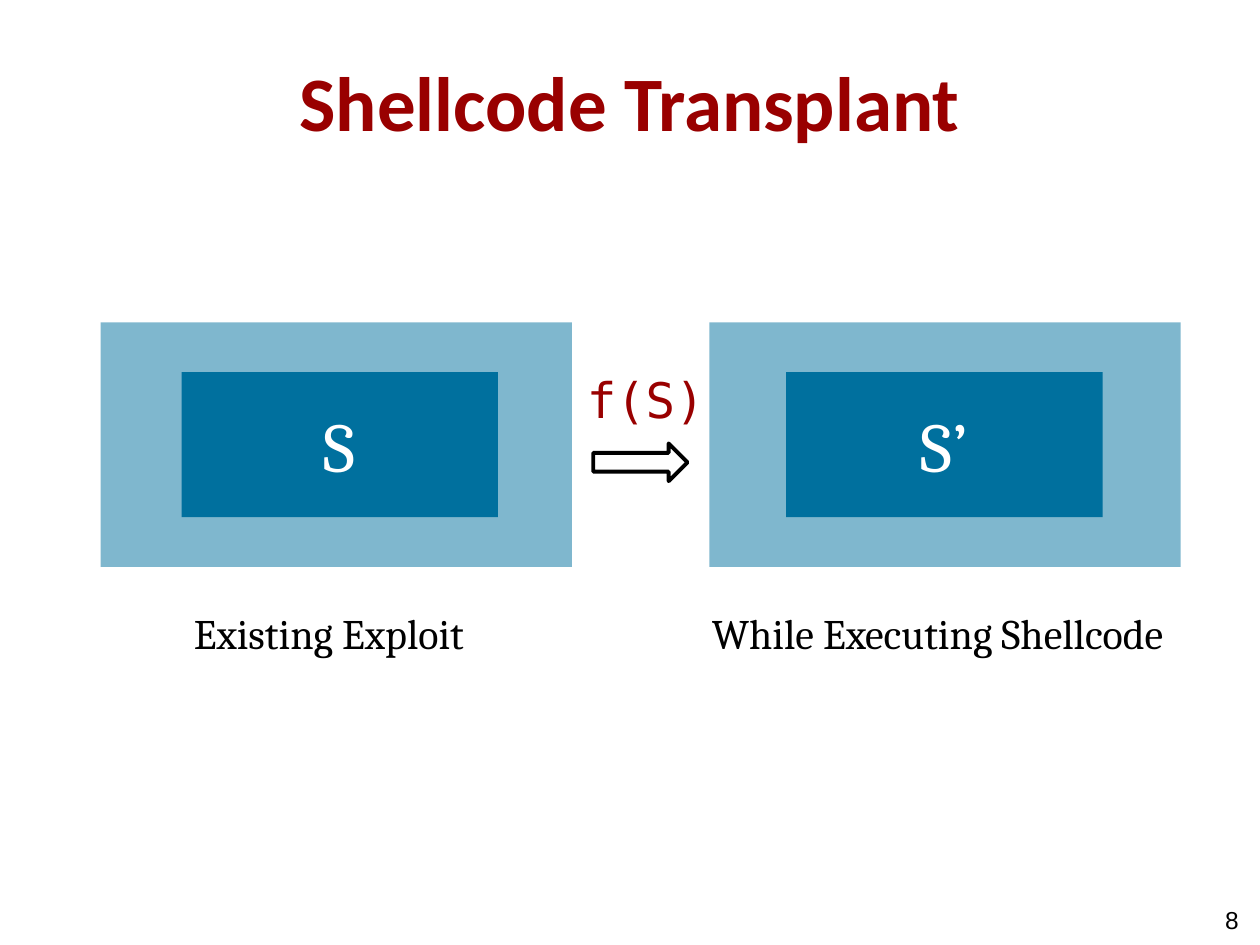
from lxml.etree import SubElement
from pptx import Presentation
from pptx.dml.color import RGBColor
from pptx.enum.shapes import MSO_SHAPE
from pptx.enum.text import MSO_ANCHOR, PP_ALIGN
from pptx.oxml.ns import qn
from pptx.util import Cm, Pt

BLUE, RED, BLACK, WHITE = "00709E", "990000", "000000", "FFFFFF"
TITLE = "Shellcode Transplant"
PANELS = [
    {"left": 2.03, "core_left": 3.66, "core": "S",
     "caption": "Existing Exploit", "caption_box": (3.66, 12.12, 6.22, 1.27)},
    {"left": 14.3, "core_left": 15.85, "core": "S’",
     "caption": "While Executing Shellcode", "caption_box": (14.1, 12.12, 10.13, 1.27)},
]
PANEL_TOP, PANEL_WIDTH, PANEL_HEIGHT = 6.5, 9.5, 4.93
CORE_WIDTH, CORE_HEIGHT = 6.38, 2.92
CORE_TOP = PANEL_TOP + (PANEL_HEIGHT - CORE_HEIGHT) / 2


def color(value):
    return RGBColor.from_string(value)


def write(shape, text, size, font="Cambria", fill=BLACK, bold=False,
          align=PP_ALIGN.LEFT, anchor=MSO_ANCHOR.TOP, wrap=True, margin=None):
    frame = shape.text_frame
    frame.word_wrap = wrap
    frame.vertical_anchor = anchor
    if margin is not None:
        frame.margin_left = frame.margin_right = Cm(margin)
        frame.margin_top = frame.margin_bottom = Cm(margin)
    paragraph = frame.paragraphs[0]
    paragraph.alignment = align
    run = paragraph.add_run()
    run.text = text
    run.font.name = font
    run.font.size = Pt(size)
    run.font.bold = bold
    run.font.color.rgb = color(fill)


def add_box(slide, box):
    return slide.shapes.add_textbox(*map(Cm, box))


def add_block(slide, kind, box, fill=None, opacity=None, line=None):
    shape = slide.shapes.add_shape(kind, *map(Cm, box))
    shape.shadow.inherit = False
    if fill:
        shape.fill.solid()
        shape.fill.fore_color.rgb = color(fill)
    else:
        shape.fill.background()
    if opacity:
        swatch = shape.fill._xPr.find(qn("a:solidFill"))[0]
        SubElement(swatch, qn("a:alpha")).set("val", str(opacity * 1000))
    if line:
        shape.line.color.rgb = color(line)
        shape.line.width = Pt(2.25)
    else:
        shape.line.fill.background()
    return shape


def main():
    presentation = Presentation()
    presentation.slide_width, presentation.slide_height = Cm(25.4), Cm(19.05)
    slide = presentation.slides.add_slide(presentation.slide_layouts[5])

    title = slide.shapes.title
    title.left, title.top, title.width, title.height = map(Cm, (1.27, 0.43, 22.86, 3.18))
    write(title, TITLE, 44, font="Calibri", fill=RED, bold=True,
          align=PP_ALIGN.CENTER, anchor=MSO_ANCHOR.MIDDLE, margin=0.25)

    for panel in PANELS:
        add_block(slide, MSO_SHAPE.RECTANGLE,
                  (panel["left"], PANEL_TOP, PANEL_WIDTH, PANEL_HEIGHT), BLUE, opacity=50)
        core = add_block(slide, MSO_SHAPE.RECTANGLE,
                         (panel["core_left"], CORE_TOP, CORE_WIDTH, CORE_HEIGHT), BLUE)
        write(core, panel["core"], 40, fill=WHITE,
              align=PP_ALIGN.CENTER, anchor=MSO_ANCHOR.MIDDLE)
        write(add_box(slide, panel["caption_box"]), panel["caption"], 24, wrap=False)

    add_block(slide, MSO_SHAPE.RIGHT_ARROW, (11.96, 8.94, 1.9, 0.76), line=BLACK)
    write(add_box(slide, (11.58, 7.32, 2.9, 1.45)), "f(S)", 28,
          font="DejaVu Sans Mono", fill=RED, wrap=False)
    write(add_box(slide, (19.05, 18.03, 5.92, 1.02)), "8", 14, font="Arial",
          align=PP_ALIGN.RIGHT, anchor=MSO_ANCHOR.MIDDLE, margin=0)

    presentation.save("out.pptx")


if __name__ == "__main__":
    main()
